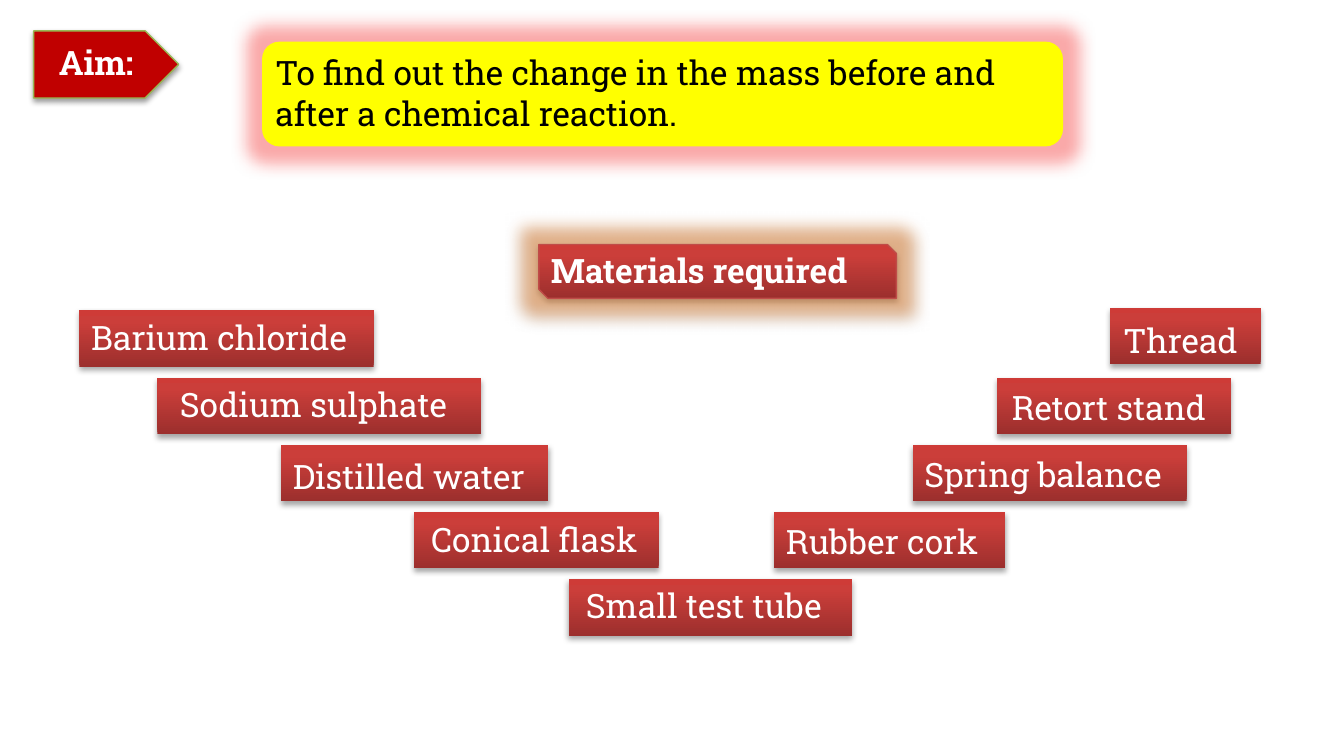
import copy
from dataclasses import dataclass

import pptx
import pptx.dml.color
import pptx.enum.shapes
import pptx.enum.text
import pptx.util
from lxml import etree
from pptx.util import Inches, Pt

KIND = pptx.enum.shapes.MSO_SHAPE
A = "{http://schemas.openxmlformats.org/drawingml/2006/main}"


@dataclass(frozen=True)
class Theme:
    font: str = "Roboto Slab"
    size: float = 18
    white: str = "FFFFFF"
    black: str = "000000"
    red: str = "C00000"
    lime: str = "98B955"
    rose: str = "BF4C48"
    yellow: str = "FFFF00"
    pink: str = "F42A2A"
    rust: str = "E46C0A"
    ramp: tuple = ((0, "9C2F2D"), (0.8, "CB3E3A"), (1, "CE3B37"))


THEME = Theme()
ROW_TOP, ROW_STEP, ROW_HIGH = 2.31, 0.5, 0.42

# row, box left, box width, text left, text width, text drop, wording
ITEMS = (
    (0, 0.59, 2.19, 0.58, 2.2, 0, "Barium chloride"),
    (1, 1.17, 2.41, 1.24, 2.31, 0, "Sodium sulphate"),
    (2, 2.09, 1.99, 2.08, 1.98, 0.03, "Distilled water"),
    (3, 3.08, 1.82, 3.11, 1.8, 0, "Conical flask"),
    (2, 6.79, 2.04, 6.78, 2.05, 0.02, "Spring balance"),
    (4, 4.23, 2.11, 4.26, 2.08, -0.01, "Small test tube"),
    (1, 7.42, 1.74, 7.43, 1.74, 0.02, "Retort stand"),
    (3, 5.76, 1.72, 5.75, 1.73, 0.02, "Rubber cork"),
    (-0.04, 8.26, 1.12, 8.26, 1.07, 0.04, "Thread"),
)


def rgb(code):
    return pptx.dml.color.RGBColor.from_string(code)


def put(target, values):
    for name, value in values.items():
        setattr(target, name, value)


def shade(fill):
    """Fill with the theme ramp, running from bottom to top."""
    fill.gradient()
    fill.gradient_angle = 90
    first = fill.gradient_stops[0]
    stops = first._gs.getparent()
    stops.append(copy.deepcopy(stops[-1]))
    for stop, (place, code) in zip(fill.gradient_stops, THEME.ramp):
        stop.color.rgb = rgb(code)
        stop.position = place


def effect(shape, tag, color, alpha, **values):
    """Add a shadow or glow to the effect list of a shape."""
    parent = shape._element.spPr.find(A + "effectLst")
    node = etree.SubElement(parent, A + tag)
    for name, value in values.items():
        node.set(name, str(value))
    tint = etree.SubElement(node, A + "srgbClr", val=color)
    etree.SubElement(tint, A + "alpha", val=str(alpha * 1000))


def shadow(shape, alpha, dist):
    effect(shape, "outerShdw", THEME.black, alpha, blurRad=Pt(3.1),
           dist=Pt(dist), dir=90 * 60000, rotWithShape=0)


def glow(shape, color):
    effect(shape, "glow", color, 40, rad=Pt(18))


def panel(group, kind, box, fill=None, line=None):
    shape = group.shapes.add_shape(kind, *map(Inches, box))
    shape.shadow.inherit = False
    if fill:
        shape.fill.solid()
        shape.fill.fore_color.rgb = rgb(fill)
    else:
        shade(shape.fill)
    if line:
        shape.line.color.rgb = rgb(line)
        shape.line.width = Pt(0.75)
    else:
        shape.line.fill.background()
    return shape


def label(group, box, text, color=THEME.white, bold=False, wrap=False):
    frame = group.shapes.add_textbox(*map(Inches, box)).text_frame
    put(frame, {"word_wrap": wrap,
                "auto_size": pptx.enum.text.MSO_AUTO_SIZE.SHAPE_TO_FIT_TEXT})
    run = frame.paragraphs[0].add_run()
    run.text = text
    put(run.font, {"name": THEME.font, "size": Pt(THEME.size), "bold": bold})
    run.font.color.rgb = rgb(color)


def aim(slide):
    group = slide.shapes.add_group_shape()
    tag = panel(group, KIND.PENTAGON, (0.25, 0.23, 1.08, 0.5),
                THEME.red, THEME.lime)
    shadow(tag, 38, 1.6)
    label(group, (0.34, 0.26, 0.81, 0.4), "Aim:", bold=True)


def head(slide):
    group = slide.shapes.add_group_shape()
    plate = panel(group, KIND.SNIP_2_DIAG_RECTANGLE, (4.01, 1.82, 2.66, 0.4),
                  line=THEME.rose)
    glow(plate, THEME.rust)
    shadow(plate, 35, 1.8)
    label(group, (4, 1.81, 2.82, 0.4), "Materials required",
          bold=True, wrap=True)


def goal(slide):
    group = slide.shapes.add_group_shape()
    card = panel(group, KIND.FLOWCHART_ALTERNATE_PROCESS,
                 (1.95, 0.31, 5.96, 0.78), THEME.yellow)
    glow(card, THEME.pink)
    label(group, (1.95, 0.34, 6.05, 0.71),
          "To find out the change in the mass before and after a "
          "chemical reaction.", THEME.black, wrap=True)


def item(slide, row, left, width, start, span, drop, text):
    group = slide.shapes.add_group_shape()
    top = ROW_TOP + row * ROW_STEP
    box = panel(group, KIND.RECTANGLE, (left, top, width, ROW_HIGH))
    shadow(box, 35, 1.8)
    label(group, (start, top + drop, span, 0.4), text)


def main():
    deck = pptx.Presentation()
    wide = Inches(10)
    put(deck, {"slide_width": wide, "slide_height": wide * 9 // 16})
    slide = deck.slides.add_slide(deck.slide_layouts[6])
    aim(slide)
    head(slide)
    goal(slide)
    for row in ITEMS:
        item(slide, *row)
    deck.save("out.pptx")


if __name__ == "__main__":
    main()
